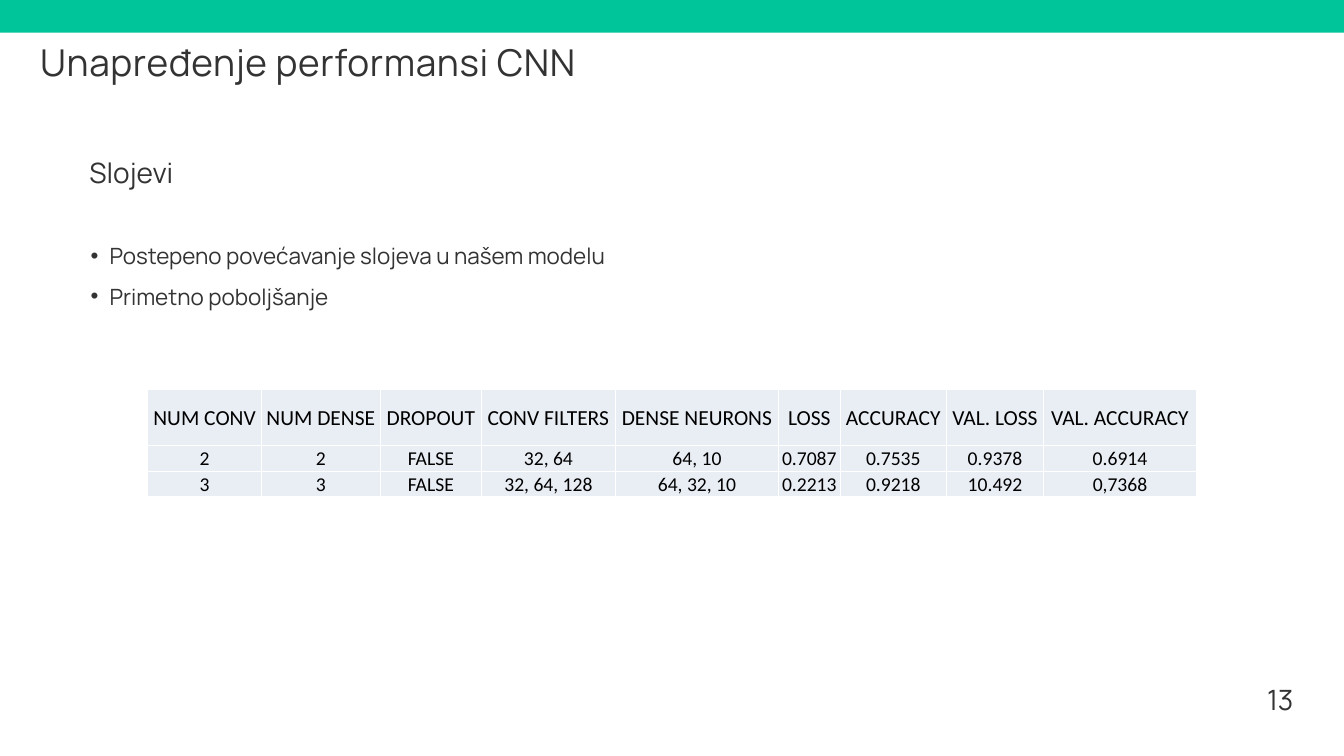
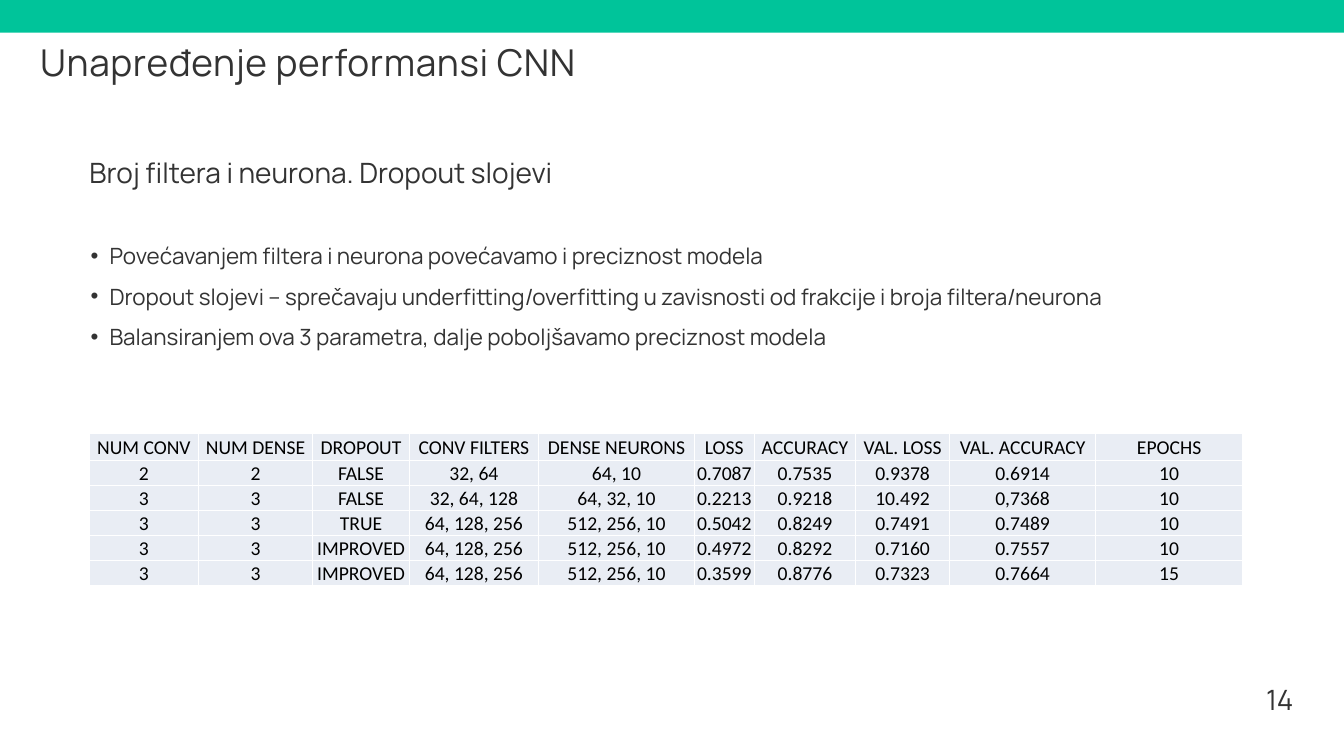
from lxml import etree
from pptx import Presentation
from pptx.dml.color import RGBColor
from pptx.enum.shapes import MSO_SHAPE
from pptx.enum.text import MSO_ANCHOR, MSO_AUTO_SIZE, PP_ALIGN
from pptx.oxml.ns import qn
from pptx.util import Cm, Pt

RECTANGLE = MSO_SHAPE.RECTANGLE
MIDDLE = MSO_ANCHOR.MIDDLE
GROW = MSO_AUTO_SIZE.SHAPE_TO_FIT_TEXT
LEFT, CENTER, RIGHT = PP_ALIGN.LEFT, PP_ALIGN.CENTER, PP_ALIGN.RIGHT

COLORS = {"band": "00C49A", "text": "333333", "table_text": "000000",
          "cell": "E9EDF4", "border": "FFFFFF"}
TEXT_FONT, TABLE_FONT = "Manrope", "Calibri"
SLIDE_WIDTH, SLIDE_HEIGHT = 50.8, 28.58

TITLE = "Unapređenje performansi CNN"
HEADERS = ["NUM CONV", "NUM DENSE", "DROPOUT", "CONV FILTERS", "DENSE NEURONS",
           "LOSS", "ACCURACY", "VAL. LOSS", "VAL. ACCURACY"]
COLUMN_WIDTHS = [4.29, 4.5, 3.81, 5.08, 6.15, 2.34, 4.01, 3.68, 5.77]
LAYER_RESULTS = [
    ["2", "2", "FALSE", "32, 64", "64, 10", "0.7087", "0.7535", "0.9378", "0.6914"],
    ["3", "3", "FALSE", "32, 64, 128", "64, 32, 10", "0.2213", "0.9218", "10.492", "0,7368"],
]
DROPOUT_RESULTS = [
    ["3", "3", "TRUE", "64, 128, 256", "512, 256, 10", "0.5042", "0.8249", "0.7491", "0.7489"],
    ["3", "3", "IMPROVED", "64, 128, 256", "512, 256, 10", "0.4972", "0.8292", "0.7160", "0.7557"],
    ["3", "3", "IMPROVED", "64, 128, 256", "512, 256, 10", "0.3599", "0.8776", "0.7323", "0.7664"],
]
EPOCHS = ["EPOCHS", "10", "10", "10", "10", "15"]


def color(name):
    return RGBColor.from_string(COLORS[name])


class Deck:
    """Holds the shared style and the slide being filled."""

    def __init__(self):
        self.presentation = Presentation()
        self.presentation.slide_width = Cm(SLIDE_WIDTH)
        self.presentation.slide_height = Cm(SLIDE_HEIGHT)
        self.slide = None

    def add_slide(self, number, heading, bullets):
        """Start a slide with its band, title, heading, bullets and page number."""
        self.slide = self.presentation.slides.add_slide(self.presentation.slide_layouts[6])
        self.band()
        self.text(heading, 3.38, 5.46, 29, 1.57, size=30, spacing=48)
        self.bullets(bullets)
        self.text(str(number), 46.99, 25.37, 1.9, 1.63, size=30, spacing=48, align=RIGHT)
        self.title(TITLE)

    def band(self):
        band = self.slide.shapes.add_shape(RECTANGLE, 0, 0, Cm(SLIDE_WIDTH), Cm(1.24))
        band.shadow.inherit = False
        band.fill.solid()
        band.fill.fore_color.rgb = color("band")
        band.line.fill.background()

    def style(self, paragraph, size, font=TEXT_FONT, color_name="text", align=LEFT):
        paragraph.font.name = font
        paragraph.font.size = Pt(size)
        paragraph.font.color.rgb = color(color_name)
        paragraph.alignment = align

    def frame(self, left, top, width, height):
        """Add a wrapping text box without margins and return its text frame."""
        box = self.slide.shapes.add_textbox(Cm(left), Cm(top), Cm(width), Cm(height))
        frame = box.text_frame
        frame.word_wrap = True
        frame.margin_left = frame.margin_right = frame.margin_top = frame.margin_bottom = 0
        return frame

    def text(self, text, left, top, width, height, size, spacing, align=LEFT):
        frame = self.frame(left, top, width, height)
        frame.auto_size = GROW
        paragraph = frame.paragraphs[0]
        paragraph.text = text
        paragraph.line_spacing = Pt(spacing)
        self.style(paragraph, size, align=align)

    def title(self, text):
        frame = self.frame(1.27, 0.76, 24, 3.18)
        frame.margin_left = frame.margin_right = Cm(0.25)
        frame.vertical_anchor = MIDDLE
        paragraph = frame.paragraphs[0]
        run = paragraph.add_run()
        run.text = text
        run._r.get_or_add_rPr().set("spc", "70")
        self.style(paragraph, 39.6)

    def bullets(self, lines):
        frame = self.frame(2.69, 8.66, 43, 4.45)
        frame.auto_size = GROW
        for index, line in enumerate(lines):
            paragraph = frame.add_paragraph() if index else frame.paragraphs[0]
            paragraph.text = line
            paragraph.level = 1
            paragraph.line_spacing = Pt(43.2)
            properties = paragraph._p.get_or_add_pPr()
            properties.set("marL", str(Cm(1.45)))
            properties.set("indent", str(Cm(-0.71)))
            etree.SubElement(properties, qn("a:buFont"), typeface="Arial")
            etree.SubElement(properties, qn("a:buChar"), char="•")
            self.style(paragraph, 24)

    def table(self, rows, left, top, widths, heights, header_size, body_size):
        shape = self.slide.shapes.add_table(len(rows), len(widths), Cm(left), Cm(top),
                                            Cm(sum(widths)), Cm(sum(heights)))
        table = shape.table
        table.first_row = table.horz_banding = False
        for column, width in zip(table.columns, widths):
            column.width = Cm(width)
        for index, (row, height, values) in enumerate(zip(table.rows, heights, rows)):
            row.height = Cm(height)
            for cell, value in zip(row.cells, values):
                self.cell(cell, value, body_size if index else header_size)

    def cell(self, cell, value, size):
        cell.margin_left = cell.margin_right = cell.margin_top = Cm(0.05)
        cell.margin_bottom = 0
        cell.vertical_anchor = MIDDLE
        self.borders(cell)
        cell.fill.solid()
        cell.fill.fore_color.rgb = color("cell")
        paragraph = cell.text_frame.paragraphs[0]
        paragraph.text = value
        self.style(paragraph, size, TABLE_FONT, "table_text", CENTER)

    def borders(self, cell):
        """Draw all four borders; they must come before the fill in the XML."""
        properties = cell._tc.get_or_add_tcPr()
        for side in ("lnL", "lnR", "lnT", "lnB"):
            line = etree.SubElement(properties, qn(f"a:{side}"), w=str(Pt(1)))
            fill = etree.SubElement(line, qn("a:solidFill"))
            etree.SubElement(fill, qn("a:srgbClr"), val=COLORS["border"])


def main():
    deck = Deck()

    deck.add_slide(13, "Slojevi", [
        "Postepeno povećavanje slojeva u našem modelu",
        "Primetno poboljšanje",
    ])
    deck.table([HEADERS] + LAYER_RESULTS, 5.59, 14.71, COLUMN_WIDTHS,
               [2.13, 0.97, 0.97], header_size=23, body_size=21)

    deck.add_slide(14, "Broj filtera i neurona. Dropout slojevi", [
        "Povećavanjem filtera i neurona povećavamo i preciznost modela",
        "Dropout slojevi – sprečavaju underfitting/overfitting u zavisnosti "
        "od frakcije i broja filtera/neurona",
        "Balansiranjem ova 3 parametra, dalje poboljšavamo preciznost modela",
    ])
    results = [HEADERS] + LAYER_RESULTS + DROPOUT_RESULTS
    rows = [row + [epochs] for row, epochs in zip(results, EPOCHS)]
    widths = [width * 0.96 for width in COLUMN_WIDTHS + COLUMN_WIDTHS[-1:]]
    deck.table(rows, 3.38, 16.38, widths, [1.04] + [0.94] * 5, header_size=21, body_size=21)

    deck.presentation.save("out.pptx")


if __name__ == "__main__":
    main()
